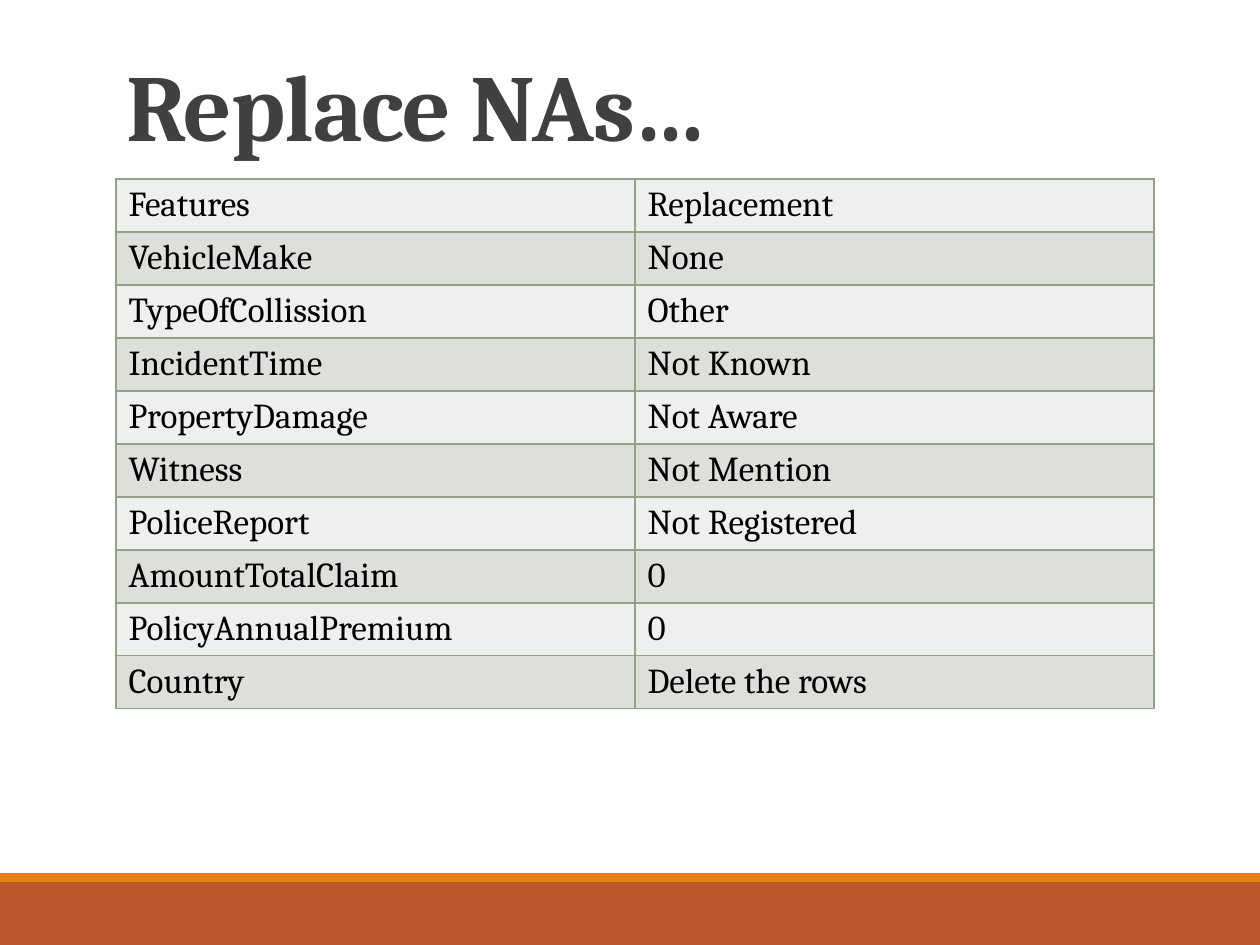
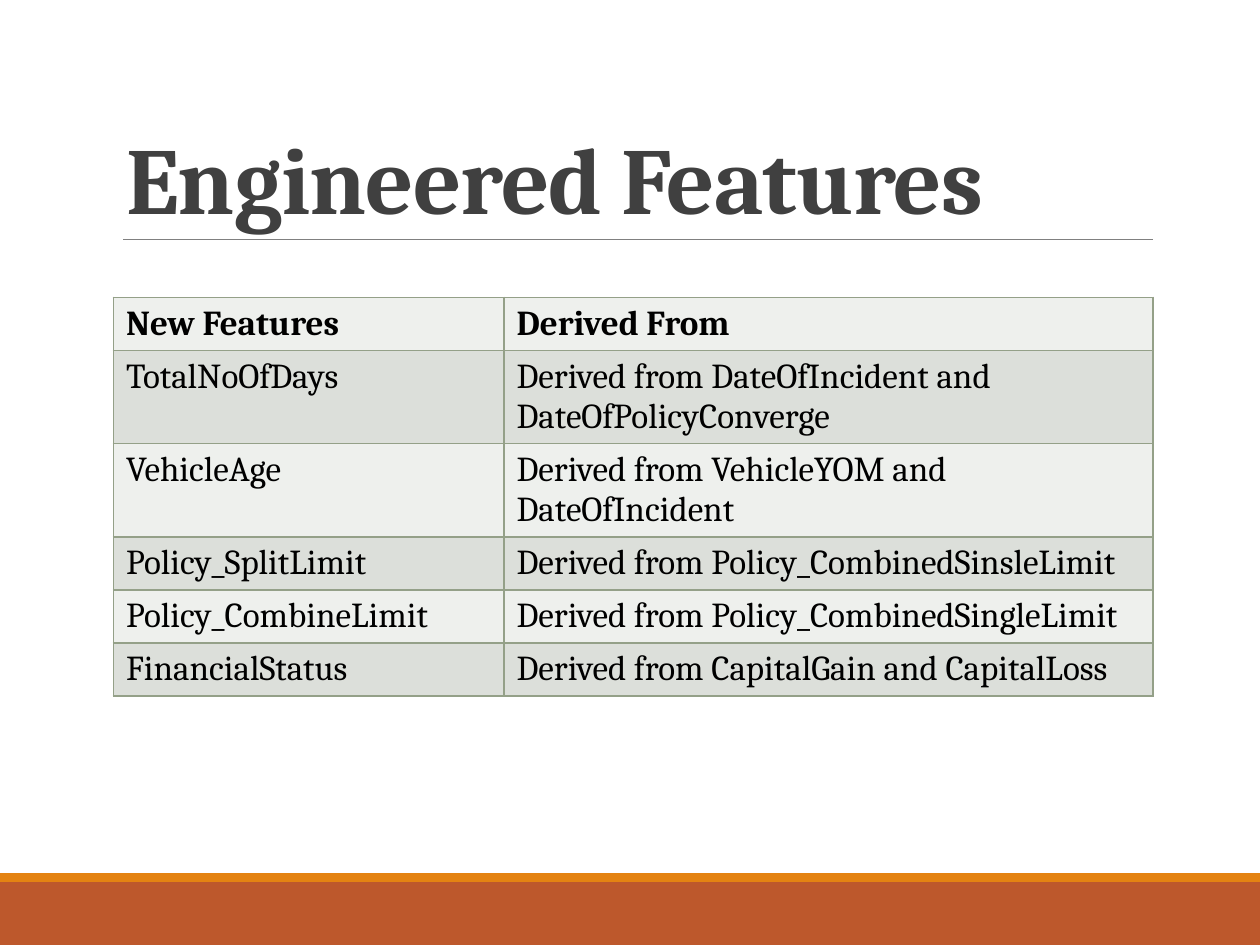
from dataclasses import dataclass

from lxml import etree
from pptx import Presentation
from pptx import util as u
from pptx.dml.color import RGBColor
from pptx.enum import shapes, text
from pptx.oxml import ns


@dataclass(frozen=True)
class Theme:
    font: str = "Cambria"
    title_size: int = 54
    table_size: int = 20
    title: str = "404040"
    body: str = "000000"
    footer: str = "BD582C"
    accent: str = "E48312"
    rule: str = "808080"
    border: str = "94A088"
    rows: tuple = ("EEF0ED", "DCDFDA")


def rgb(value):
    return RGBColor.from_string(value)


def apply(target, values):
    for name, value in values.items():
        setattr(target, name, value)


class Deck:
    def __init__(self, theme):
        self.theme = theme
        self.prs = Presentation()
        apply(self.prs, {"slide_width": u.Inches(10), "slide_height": u.Inches(7.5)})
        self.s = None

    def slide(self, title, title_height):
        self.s = self.prs.slides.add_slide(self.prs.slide_layouts[5])
        self.band(7, 0.5, self.theme.footer)
        self.band(6.93, 0.07, self.theme.accent)
        self.rule(0.98, 9.15, 1.9)
        self.title(title, title_height)

    def band(self, top, height, color):
        sp = self.s.shapes.add_shape(
            shapes.MSO_SHAPE.RECTANGLE, 0, u.Inches(top), self.prs.slide_width, u.Inches(height))
        sp.shadow.inherit = False
        sp.fill.solid()
        sp.fill.fore_color.rgb = rgb(color)
        sp.line.fill.background()

    def rule(self, left, right, y):
        line = self.s.shapes.add_connector(
            shapes.MSO_CONNECTOR.STRAIGHT,
            u.Inches(left), u.Inches(y), u.Inches(right), u.Inches(y))
        line.line.color.rgb = rgb(self.theme.rule)
        line.line.width = u.Pt(0.5)
        etree.SubElement(line._element.spPr, ns.qn("a:effectLst"))

    def font(self, r, size, color, bold):
        apply(r.font, {"name": self.theme.font, "size": u.Pt(size), "bold": bold})
        r.font.color.rgb = rgb(color)

    def title(self, words, height):
        sp = self.s.shapes.title
        apply(sp, {"left": u.Inches(0.9), "top": u.Inches(0.31),
                   "width": u.Inches(8.25), "height": u.Inches(height)})
        tf = sp.text_frame
        apply(tf, {"word_wrap": True, "auto_size": text.MSO_AUTO_SIZE.NONE,
                   "vertical_anchor": text.MSO_ANCHOR.BOTTOM})
        p = tf.paragraphs[0]
        apply(p, {"alignment": text.PP_ALIGN.LEFT, "line_spacing": 0.85})
        r = p.add_run()
        r.text = words
        self.font(r, self.theme.title_size, self.theme.title, True)
        r.font._element.set("spc", "-50")

    def table(self, left, top, widths, rows, bold_header=False):
        row_height = u.Inches(0.42)
        table = self.s.shapes.add_table(
            len(rows), len(widths), u.Inches(left), u.Inches(top),
            u.Inches(sum(widths)), row_height * len(rows)).table
        apply(table, {"first_row": False, "horz_banding": False})
        for column, width in zip(table.columns, widths):
            column.width = u.Inches(width)
        for i, row in enumerate(rows):
            table.rows[i].height = row_height
            for j, words in enumerate(row):
                cell = table.cell(i, j)
                r = cell.text_frame.paragraphs[0].add_run()
                r.text = words
                self.font(r, self.theme.table_size, self.theme.body, bold_header and i == 0)
                self.borders(cell)
                cell.fill.solid()
                cell.fill.fore_color.rgb = rgb(self.theme.rows[i % 2])

    def borders(self, cell):
        """Draw all four cell edges; call before the fill is set, as the schema orders them so."""
        tc_pr = cell._tc.get_or_add_tcPr()
        for edge in ("lnL", "lnR", "lnT", "lnB"):
            ln = etree.SubElement(tc_pr, ns.qn(f"a:{edge}"), w=str(u.Pt(1)))
            fill = etree.SubElement(ln, ns.qn("a:solidFill"))
            etree.SubElement(fill, ns.qn("a:srgbClr"), val=self.theme.border)


REPLACEMENTS = [
    ("Features", "Replacement"),
    ("VehicleMake", "None"),
    ("TypeOfCollission", "Other"),
    ("IncidentTime", "Not Known"),
    ("PropertyDamage", "Not Aware"),
    ("Witness", "Not Mention"),
    ("PoliceReport", "Not Registered"),
    ("AmountTotalClaim", "0"),
    ("PolicyAnnualPremium", "0"),
    ("Country", "Delete the rows"),
]

ENGINEERED = [
    ("New Features", "Derived From"),
    ("TotalNoOfDays", "Derived from DateOfIncident and DateOfPolicyConverge"),
    ("VehicleAge", "Derived from VehicleYOM and DateOfIncident"),
    ("Policy_SplitLimit", "Derived from Policy_CombinedSinsleLimit"),
    ("Policy_CombineLimit", "Derived from Policy_CombinedSingleLimit"),
    ("FinancialStatus", "Derived from CapitalGain and CapitalLoss"),
]


def main():
    deck = Deck(Theme())
    deck.slide("Replace NAs…", 1.02)
    deck.table(0.92, 1.42, (4.12, 4.12), REPLACEMENTS)
    deck.slide("Engineered Features", 1.6)
    deck.table(0.9, 2.36, (3.1, 5.15), ENGINEERED, bold_header=True)
    deck.prs.save("out.pptx")


if __name__ == "__main__":
    main()
